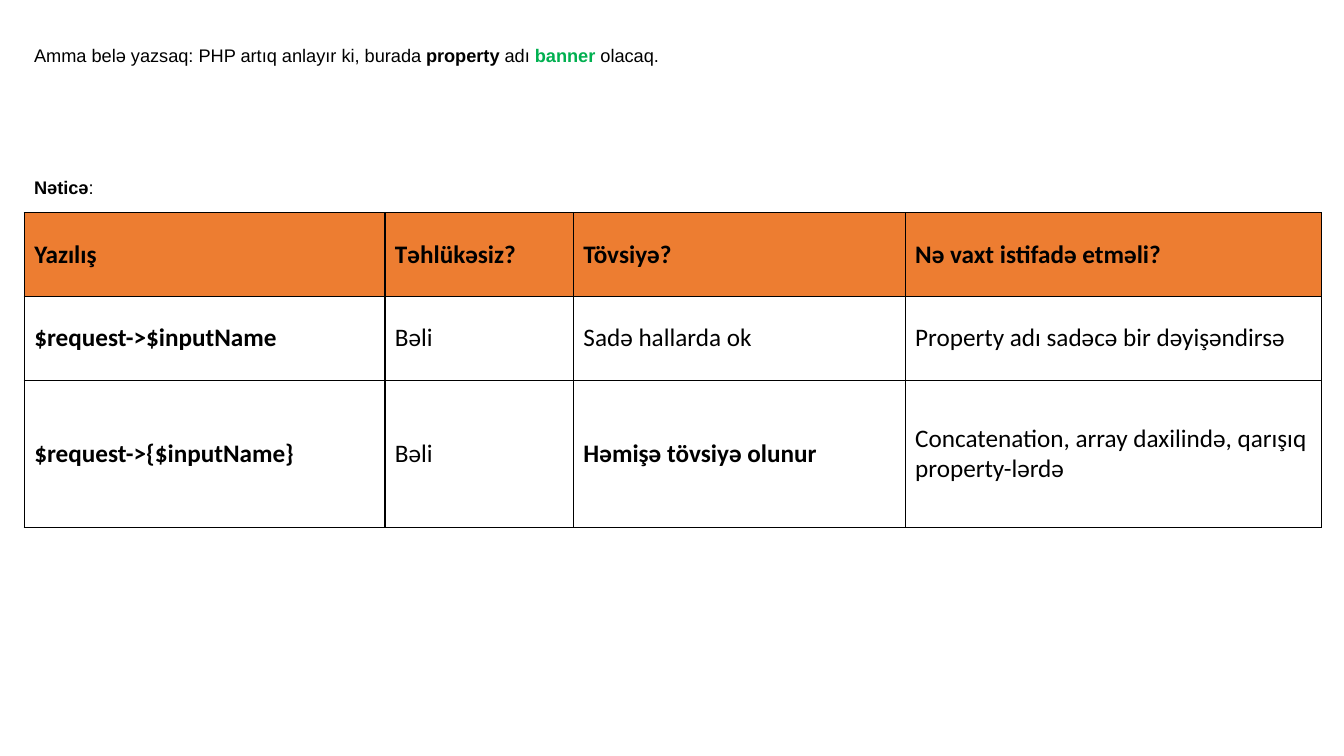
from lxml import etree
from pptx import Presentation
from pptx import util as u
from pptx.dml.color import RGBColor
from pptx.enum import text
from pptx.oxml.ns import qn

COLORS = {"ink": "000000", "header": "ED7D31", "accent": "00B050"}
LEFT, WIDTH = 0.61, 32.66


def color(name):
    return RGBColor.from_string(COLORS[name])


def add_text(para, words, size=13, font="Arial", ink="ink", bold=False):
    span = para.add_run()
    span.text = words
    span.font.size = u.Pt(size)
    span.font.name = font
    span.font.bold = bold
    span.font.color.rgb = color(ink)


class SlideWriter:
    def __init__(self, page, border=1):
        self.page = page
        self.border = border

    def paragraphs(self, left, top, width, height, lines, spacing, gap):
        box = self.page.shapes.add_textbox(*map(u.Cm, (left, top, width, height)))
        frame = box.text_frame
        frame.word_wrap = True
        for index, spans in enumerate(lines):
            para = frame.add_paragraph() if index else frame.paragraphs[0]
            para.line_spacing = spacing
            if index:
                para.space_before = u.Pt(gap)
            for words, style in spans:
                add_text(para, words, **style)

    def outline(self, cell):
        properties = cell._tc.get_or_add_tcPr()
        for side in ("lnL", "lnR", "lnT", "lnB"):
            line = etree.SubElement(properties, qn(f"a:{side}"), w=str(u.Pt(self.border)))
            fill = etree.SubElement(line, qn("a:solidFill"))
            etree.SubElement(fill, qn("a:srgbClr"), val=COLORS["ink"])

    def table(self, left, top, widths, heights, rows, bold_cells):
        table = self.page.shapes.add_table(
            len(rows), len(widths), u.Cm(left), u.Cm(top),
            u.Cm(sum(widths)), u.Cm(sum(heights))).table
        table.first_row = table.horz_banding = False
        for column, width in zip(table.columns, widths):
            column.width = u.Cm(width)
        for r, (height, row) in enumerate(zip(heights, rows)):
            table.rows[r].height = u.Cm(height)
            for c, words in enumerate(row):
                cell = table.cell(r, c)
                cell.vertical_anchor = text.MSO_ANCHOR.MIDDLE
                self.outline(cell)
                if r == 0:
                    cell.fill.solid()
                    cell.fill.fore_color.rgb = color("header")
                else:
                    cell.fill.background()
                bold = r == 0 or c == 0 or (r, c) in bold_cells
                add_text(cell.text_frame.paragraphs[0], words, size=18,
                         font="Calibri", bold=bold)


def main():
    deck = Presentation()
    deck.slide_width, deck.slide_height = u.Cm(33.87), u.Cm(19.05)
    writer = SlideWriter(deck.slides.add_slide(deck.slide_layouts[6]))
    strong = {"bold": True}
    writer.paragraphs(LEFT, 0.71, WIDTH, 4.32, [
        [("Amma belə yazsaq: PHP artıq anlayır ki, burada ", {}),
         ("property", strong), (" adı ", {}),
         ("banner", {"bold": True, "ink": "accent"}), (" olacaq.", {})],
        [("Nəticə", strong), (":", {})],
    ], spacing=1.5, gap=71)
    writer.table(LEFT, 5.36, [9.09, 4.75, 8.36, 10.49], [2.11, 2.11, 3.71], [
        ["Yazılış", "Təhlükəsiz?", "Tövsiyə?", "Nə vaxt istifadə etməli?"],
        ["$request->$inputName", "Bəli", "Sadə hallarda ok",
         "Property adı sadəcə bir dəyişəndirsə"],
        ["$request->{$inputName}", "Bəli", "Həmişə tövsiyə olunur",
         "Concatenation, array daxilində, qarışıq property-lərdə"],
    ], bold_cells={(2, 2)})
    deck.save("out.pptx")


if __name__ == "__main__":
    main()
